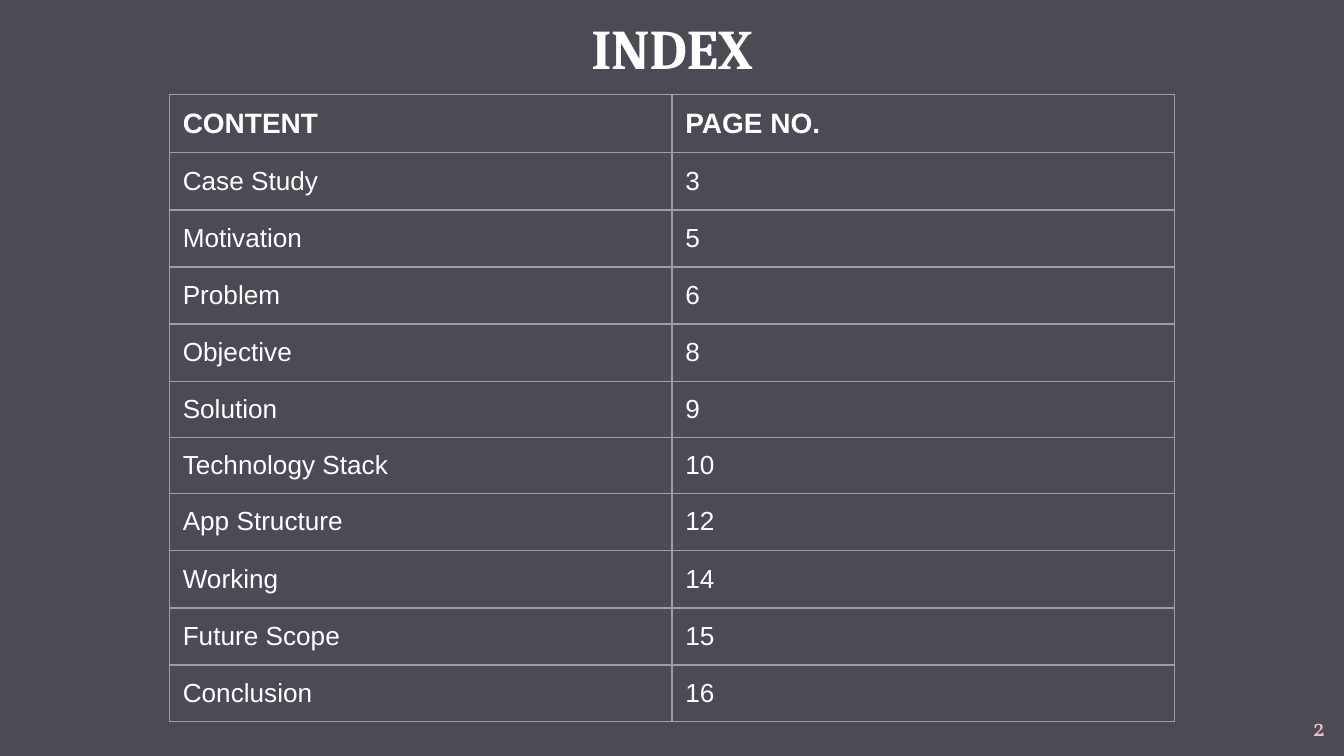
from lxml.etree import SubElement
from pptx import Presentation
from pptx.dml.color import RGBColor
from pptx.enum.text import MSO_ANCHOR, MSO_AUTO_SIZE, PP_ALIGN
from pptx.oxml.ns import qn
from pptx.util import Emu, Pt

PIXEL = 4572
WHITE = "FFFFFF"
PINK = "ECC1C8"
GREY = "9E9E9E"
SLATE = "4D4A56"
INSET = 20
ROW_HEIGHTS = [85] * 5 + [80] * 2 + [85] * 3 + [46]
INDEX_ROWS = [
    ("CONTENT", "PAGE NO."),
    ("Case Study", "3"),
    ("Motivation", "5"),
    ("Problem", "6"),
    ("Objective", "8"),
    ("Solution", "9"),
    ("Technology Stack", "10"),
    ("App Structure", "12"),
    ("Working", "14"),
    ("Future Scope", "15"),
    ("Conclusion", "16"),
]


def px(length):
    """Turn whole pixels into EMU."""
    return Emu(length * PIXEL)


def color(value):
    """Turn a hex string into a colour."""
    return RGBColor.from_string(value)


def set_insets(holder):
    """Give a cell or text frame the shared inset on all sides."""
    holder.margin_left = holder.margin_right = px(INSET)
    holder.margin_top = holder.margin_bottom = px(INSET)


def style_paragraph(para, name, size, tint, bold=False, align=PP_ALIGN.LEFT):
    """Set the font and alignment of a paragraph."""
    para.alignment = align
    para.font.name = name
    para.font.size = Pt(size)
    para.font.bold = bold
    para.font.color.rgb = color(tint)


def fill_text_box(shape, text, name, size, tint, bold, align):
    """Write one styled line in a text shape."""
    frame = shape.text_frame
    frame.text = text
    frame.word_wrap = True
    frame.auto_size = MSO_AUTO_SIZE.NONE
    frame.vertical_anchor = MSO_ANCHOR.MIDDLE
    set_insets(frame)
    style_paragraph(frame.paragraphs[0], name, size, tint, bold, align)


def add_title(page, left, top, width, height):
    """Place the title placeholder in its box."""
    title = page.shapes.title
    title.left, title.top = px(left), px(top)
    title.width, title.height = px(width), px(height)
    fill_text_box(title, "INDEX", "Cambria", 30, WHITE, True, PP_ALIGN.CENTER)


def add_page_number(page, left, top, width, height):
    """Place the page number in its box."""
    box = page.shapes.add_textbox(px(left), px(top), px(width), px(height))
    fill_text_box(box, "2", "Vollkorn", 13, PINK, False, PP_ALIGN.RIGHT)


def add_borders(cell):
    """Draw a thin grey line on every side of a cell."""
    properties = cell._tc.get_or_add_tcPr()
    for side in ("a:lnL", "a:lnR", "a:lnT", "a:lnB"):
        line = SubElement(properties, qn(side), w=str(Pt(0.75)))
        fill = SubElement(line, qn("a:solidFill"))
        SubElement(fill, qn("a:srgbClr"), val=GREY)


def add_index_table(page, left, top, width):
    """Build the table of contents in its box."""
    columns = len(INDEX_ROWS[0])
    frame = page.shapes.add_table(
        len(INDEX_ROWS), columns, px(left), px(top), px(width), px(sum(ROW_HEIGHTS))
    )
    table = frame.table
    table.first_row = table.horz_banding = False
    for column in table.columns:
        column.width = px(width // columns)
    for index, (texts, height) in enumerate(zip(INDEX_ROWS, ROW_HEIGHTS)):
        table.rows[index].height = px(height)
        header = index == 0
        for cell, text in zip(table.rows[index].cells, texts):
            cell.text = text
            set_insets(cell)
            add_borders(cell)
            cell.fill.background()
            para = cell.text_frame.paragraphs[0]
            style_paragraph(para, "Arial", 15 if header else 14, WHITE, header)


def main():
    """Build the index slide and save the deck."""
    deck = Presentation()
    deck.slide_width, deck.slide_height = px(2000), px(1125)
    page = deck.slides.add_slide(deck.slide_layouts[5])
    page.background.fill.solid()
    page.background.fill.fore_color.rgb = color(SLATE)
    add_index_table(page, 252, 141, 1496)
    add_title(page, 670, 0, 660, 141)
    add_page_number(page, 1872, 1038, 120, 87)
    deck.save("out.pptx")


if __name__ == "__main__":
    main()
